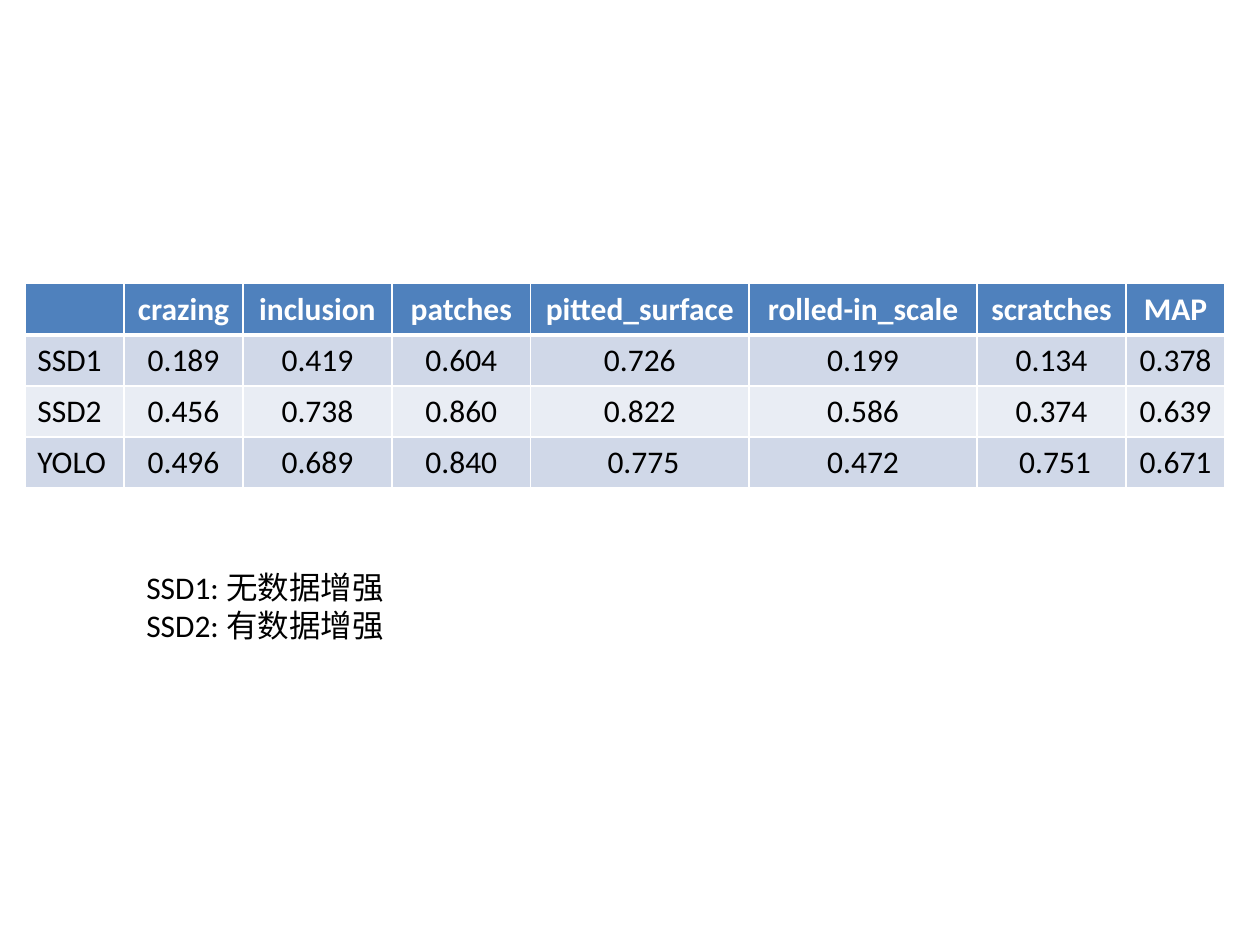
from lxml import etree
from pptx import Presentation
from pptx.dml.color import RGBColor
from pptx.enum.text import MSO_AUTO_SIZE, PP_ALIGN
from pptx.oxml.ns import qn
from pptx.util import Cm, Pt

LEFT, CENTER = PP_ALIGN.LEFT, PP_ALIGN.CENTER
FIT_SHAPE = MSO_AUTO_SIZE.SHAPE_TO_FIT_TEXT
COLOURS = {
    "header": "4F81BD",
    "odd_row": "D0D8E8",
    "even_row": "E9EDF4",
    "white": "FFFFFF",
    "black": "000000",
}
SCORES = [
    ["", "crazing", "inclusion", "patches", "pitted_surface",
     "rolled-in_scale", "scratches", "MAP"],
    ["SSD1", "0.189", "0.419", "0.604", "0.726", "0.199", "0.134", "0.378"],
    ["SSD2", "0.456", "0.738", "0.860", "0.822", "0.586", "0.374", "0.639"],
    ["YOLO", "0.496", "0.689", "0.840", " 0.775", "0.472", " 0.751", "0.671"],
]
COLUMN_WIDTHS = [2, 2.4, 3, 2.8, 4.4, 4.6, 3, 2]
ROW_HEIGHT = 1.03
NOTES = ["SSD1: 无数据增强", "SSD2: 有数据增强"]


class SlideWriter:
    def __init__(self, page, font="Calibri", size=18):
        self.page = page
        self.font = font
        self.size = size

    def style(self, para, colour, bold=False, align=LEFT):
        para.alignment = align
        para.font.name = self.font
        para.font.size = Pt(self.size)
        para.font.bold = bold
        para.font.color.rgb = RGBColor.from_string(COLOURS[colour])

    def border(self, cell, widths):
        """Draw white cell edges; widths maps an edge tag to points."""
        properties = cell._tc.get_or_add_tcPr()
        for position, (edge, width) in enumerate(widths.items()):
            line = etree.Element(qn(f"a:{edge}"), w=str(Pt(width)))
            fill = etree.SubElement(line, qn("a:solidFill"))
            etree.SubElement(fill, qn("a:srgbClr"), val=COLOURS["white"])
            properties.insert(position, line)

    def table(self, left, top, rows, widths, row_height):
        frame = self.page.shapes.add_table(
            len(rows), len(widths), Cm(left), Cm(top),
            Cm(sum(widths)), Cm(row_height * len(rows)))
        table = frame.table
        for column, width in zip(table.columns, widths):
            column.width = Cm(width)
        for r, values in enumerate(rows):
            table.rows[r].height = Cm(row_height)
            header = r == 0
            fill = "header" if header else "odd_row" if r % 2 else "even_row"
            edges = {"lnL": 1, "lnR": 1, "lnT": 3 if r == 1 else 1,
                     "lnB": 3 if header else 1}
            for c, value in enumerate(values):
                cell = table.cell(r, c)
                cell.text = value
                cell.fill.solid()
                cell.fill.fore_color.rgb = RGBColor.from_string(COLOURS[fill])
                self.border(cell, edges)
                self.style(cell.text_frame.paragraphs[0],
                           "white" if header else "black", header,
                           CENTER if header or c else LEFT)

    def text(self, left, top, width, height, lines):
        box = self.page.shapes.add_textbox(
            Cm(left), Cm(top), Cm(width), Cm(height))
        frame = box.text_frame
        frame.word_wrap = True
        frame.auto_size = FIT_SHAPE
        frame.text = "\n".join(lines)
        for para in frame.paragraphs:
            self.style(para, "black")


def main():
    deck = Presentation()
    deck.slide_width, deck.slide_height = Cm(25.4), Cm(19.05)
    writer = SlideWriter(deck.slides.add_slide(deck.slide_layouts[6]))
    writer.table(0.5, 5.72, SCORES, COLUMN_WIDTHS, ROW_HEIGHT)
    writer.text(2.7, 11.33, 14.2, 1.8, NOTES)
    deck.save("out.pptx")


if __name__ == "__main__":
    main()
